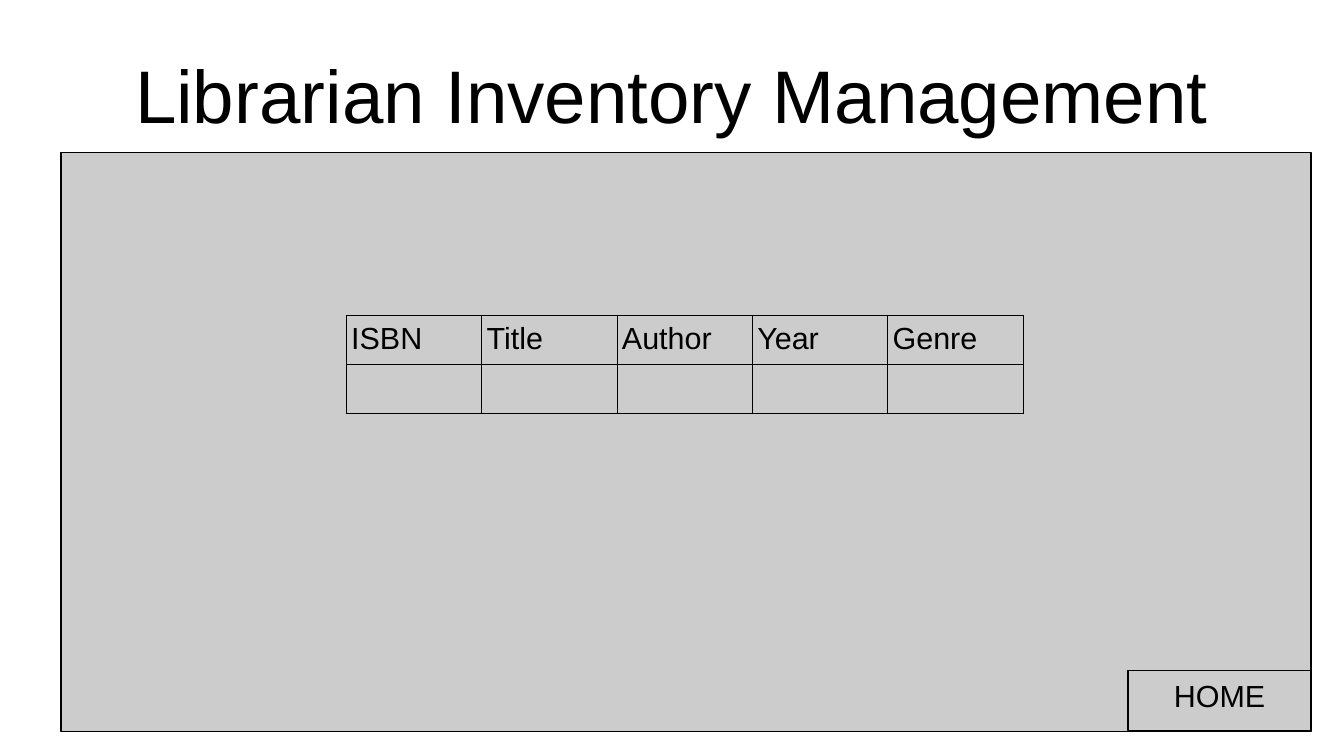
import dataclasses

import lxml.etree
import pptx
import pptx.dml.color
import pptx.enum.shapes
import pptx.enum.text
import pptx.oxml.ns
import pptx.util

Pt = pptx.util.Pt
Align = pptx.enum.text.PP_ALIGN
Anchor = pptx.enum.text.MSO_ANCHOR


@dataclasses.dataclass(frozen=True)
class Theme:
    font: str = "Arial"
    ink: str = "000000"
    panel: str = "CCCCCC"
    title_size: float = 44
    body_size: float = 18
    outline: float = 0
    border: float = 0.57


class SlideBuilder:
    def __init__(self, slide, theme):
        self.slide = slide
        self.theme = theme

    def color(self, value):
        return pptx.dml.color.RGBColor.from_string(value)

    def set_text(self, text_frame, text, size, alignment):
        text_frame.text = text
        paragraph = text_frame.paragraphs[0]
        paragraph.alignment = alignment
        for run in paragraph.runs:
            run.font.name = self.theme.font
            run.font.size = Pt(size)
            run.font.color.rgb = self.color(self.theme.ink)

    def title(self, text, left, top, width, height):
        shape = self.slide.shapes.add_textbox(Pt(left), Pt(top), Pt(width), Pt(height))
        frame = shape.text_frame
        frame.word_wrap = True
        frame.vertical_anchor = Anchor.MIDDLE
        frame.margin_left = frame.margin_right = Pt(0)
        frame.margin_top = frame.margin_bottom = Pt(0)
        self.set_text(frame, text, self.theme.title_size, Align.CENTER)

    def box(self, left, top, width, height, text=""):
        shape = self.slide.shapes.add_shape(
            pptx.enum.shapes.MSO_SHAPE.RECTANGLE, Pt(left), Pt(top), Pt(width), Pt(height)
        )
        shape.shadow.inherit = False
        shape.fill.solid()
        shape.fill.fore_color.rgb = self.color(self.theme.panel)
        shape.line.color.rgb = self.color(self.theme.ink)
        shape.line.width = Pt(self.theme.outline)
        if text:
            shape.text_frame.vertical_anchor = Anchor.TOP
            self.set_text(shape.text_frame, text, self.theme.body_size, Align.CENTER)

    def borders(self, cell):
        properties = cell._tc.get_or_add_tcPr()
        qualified = pptx.oxml.ns.qn
        for side in ("L", "R", "T", "B"):
            line = lxml.etree.SubElement(
                properties, qualified(f"a:ln{side}"), w=str(Pt(self.theme.border))
            )
            fill = lxml.etree.SubElement(line, qualified("a:solidFill"))
            lxml.etree.SubElement(fill, qualified("a:srgbClr"), val=self.theme.ink)

    def table(self, rows, left, top, column_width, row_height):
        column_count = len(rows[0])
        table = self.slide.shapes.add_table(
            len(rows), column_count, Pt(left), Pt(top),
            Pt(column_width * column_count), Pt(row_height * len(rows)),
        ).table
        table.first_row = False
        table.horz_banding = False
        for column in table.columns:
            column.width = Pt(column_width)
        for row, texts in zip(table.rows, rows):
            row.height = Pt(row_height)
            for cell, text in zip(row.cells, texts):
                cell.margin_left = cell.margin_right = Pt(2.88)
                cell.margin_top = cell.margin_bottom = Pt(3.6)
                self.borders(cell)
                cell.fill.background()
                self.set_text(cell.text_frame, text, self.theme.body_size, Align.LEFT)


def main():
    presentation = pptx.Presentation()
    presentation.slide_width = Pt(793.44)
    presentation.slide_height = Pt(446.4)
    slide = presentation.slides.add_slide(presentation.slide_layouts[6])
    builder = SlideBuilder(slide, Theme())
    builder.title("Librarian Inventory Management", 39.6, 18, 714.24, 74.88)
    builder.box(36, 90, 738, 342)
    builder.box(666, 396, 108, 35.28, "HOME")
    headings = ["ISBN", "Title", "Author", "Year", "Genre"]
    builder.table([headings, [""] * len(headings)], 204.48, 186.48, 79.92, 28.8)
    presentation.save("out.pptx")


if __name__ == "__main__":
    main()
